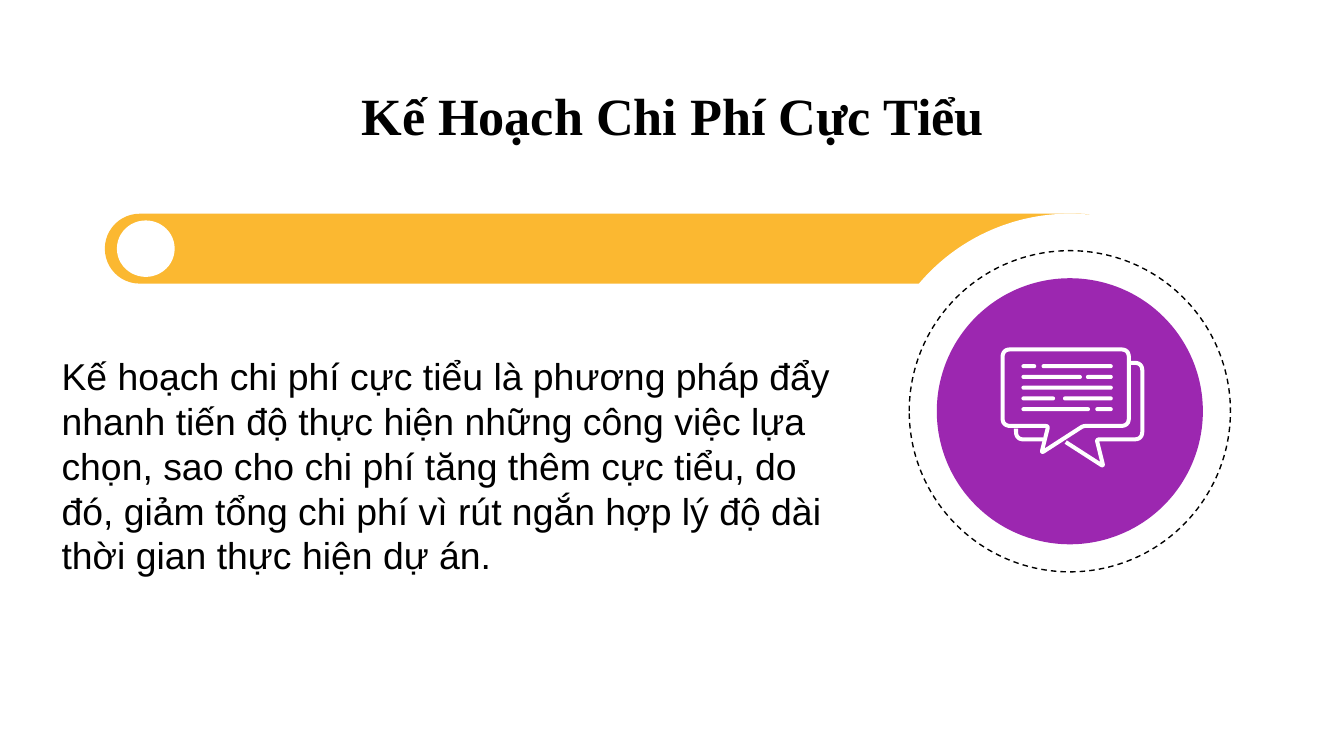
from typing import NamedTuple

from pptx import Presentation
from pptx.dml.color import RGBColor
from pptx.enum.dml import MSO_LINE
from pptx.enum.shapes import MSO_SHAPE
from pptx.enum.text import MSO_ANCHOR, MSO_AUTO_SIZE, PP_ALIGN
from pptx.util import Inches, Pt

WHITE, BLACK, AMBER, PURPLE = "FFFFFF", "000000", "FBB831", "9C27B0"
STROKE = 0.03
CORNER = 0.06
TIP = 0.02


class Box(NamedTuple):
    left: float
    top: float
    width: float
    height: float


class Vertex(NamedTuple):
    x: float
    y: float
    radius: float = 0


class Disc(NamedTuple):
    diameter: float
    fill: str | None
    line: str | None


DISC_CENTER = (7.96, 3.06)
DISCS = [Disc(2.94, WHITE, None), Disc(2.39, None, BLACK), Disc(1.98, PURPLE, None)]

# Left and right ends of the dashes in each row of the message icon
MESSAGE_TOP, MESSAGE_PITCH = 2.71, 0.08
MESSAGE_ROWS = [
    [(7.6, 7.71), (7.75, 8.28)],
    [(7.6, 8.05), (8.08, 8.28)],
    [(7.6, 8.28)],
    [(7.6, 7.85), (7.91, 8.28)],
    [(7.6, 8.11), (8.15, 8.28)],
]

FRONT_BUBBLE = [
    Vertex(7.8, 2.6), Vertex(8.4, 2.6, CORNER), Vertex(8.4, 3.17, CORNER),
    Vertex(8.06, 3.17, TIP), Vertex(7.75, 3.37, TIP), Vertex(7.8, 3.17, TIP),
    Vertex(7.46, 3.17, CORNER), Vertex(7.46, 2.6, CORNER),
]
BACK_BUBBLE = [
    Vertex(8.41, 2.7), Vertex(8.5, 2.7, CORNER), Vertex(8.5, 3.27, CORNER),
    Vertex(8.16, 3.27, TIP), Vertex(8.21, 3.47, TIP), Vertex(7.93, 3.29),
]
BACK_CORNER = [Vertex(7.56, 3.19), Vertex(7.56, 3.27, CORNER), Vertex(7.76, 3.27)]


def rgb(color: str) -> RGBColor:
    return RGBColor.from_string(color)


def paint(sp, fill: str | None = None, line: str | None = None, width: float = 0.75):
    sp.shadow.inherit = False
    if fill:
        sp.fill.solid()
        sp.fill.fore_color.rgb = rgb(fill)
    else:
        sp.fill.background()
    if line:
        sp.line.color.rgb = rgb(line)
        sp.line.width = Pt(width)
    else:
        sp.line.fill.background()


def add_preset(s, kind: MSO_SHAPE, box: Box, fill: str | None = None,
               line: str | None = None):
    sp = s.shapes.add_shape(kind, *map(Inches, box))
    if kind == MSO_SHAPE.ROUNDED_RECTANGLE:
        sp.adjustments[0] = 0.5
    paint(sp, fill, line)
    return sp


def rounded(vertices: list[Vertex], steps: int = 6) -> list[tuple[int, int]]:
    """Return path points with each vertex replaced by a curve of its radius."""
    points = []
    for i, v in enumerate(vertices):
        if not v.radius:
            points.append((Inches(v.x), Inches(v.y)))
            continue
        ends = []
        for n in (vertices[i - 1], vertices[(i + 1) % len(vertices)]):
            t = v.radius / ((n.x - v.x) ** 2 + (n.y - v.y) ** 2) ** 0.5
            ends.append((v.x + (n.x - v.x) * t, v.y + (n.y - v.y) * t))
        (ax, ay), (bx, by) = ends
        for k in range(steps + 1):
            t = k / steps
            a, c, b = (1 - t) ** 2, 2 * t * (1 - t), t ** 2
            points.append((Inches(a * ax + c * v.x + b * bx),
                           Inches(a * ay + c * v.y + b * by)))
    return points


def add_outline(s, vertices: list[Vertex], close: bool = False):
    start, *rest = rounded(vertices)
    builder = s.shapes.build_freeform(*start)
    builder.add_line_segments(rest, close=close)
    paint(builder.convert_to_shape(), line=WHITE, width=STROKE * 72)


def write(sp, text: str, *, font: str, size: float, bold: bool = False,
          align: PP_ALIGN = PP_ALIGN.LEFT, anchor: MSO_ANCHOR = MSO_ANCHOR.TOP,
          inset: float = 0.05, fit: MSO_AUTO_SIZE = MSO_AUTO_SIZE.NONE):
    tf = sp.text_frame
    tf.word_wrap = True
    tf.auto_size = fit
    tf.vertical_anchor = anchor
    tf.margin_left = tf.margin_right = Inches(0.1)
    tf.margin_top = tf.margin_bottom = Inches(inset)
    p = tf.paragraphs[0]
    p.alignment = align
    r = p.add_run()
    r.text = text
    r.font.name, r.font.size, r.font.bold = font, Pt(size), bold
    r.font.color.rgb = rgb(BLACK)


def add_title(s, text: str, box: Box):
    sp = s.shapes.title
    sp.left, sp.top, sp.width, sp.height = map(Inches, box)
    write(sp, text, font="Times New Roman", size=28, bold=True,
          align=PP_ALIGN.CENTER, anchor=MSO_ANCHOR.MIDDLE, inset=0.1)


def add_message_icon(s):
    for row, dashes in enumerate(MESSAGE_ROWS):
        for left, right in dashes:
            box = Box(left, MESSAGE_TOP + row * MESSAGE_PITCH, right - left, STROKE)
            add_preset(s, MSO_SHAPE.ROUNDED_RECTANGLE, box, WHITE)
    add_outline(s, FRONT_BUBBLE, close=True)
    add_outline(s, BACK_BUBBLE)
    add_outline(s, BACK_CORNER)


def main():
    prs = Presentation()
    prs.slide_width = Inches(10)
    prs.slide_height = Inches(10 * 9 / 16)
    s = prs.slides.add_slide(prs.slide_layouts[5])

    add_title(s, "Kế Hoạch Chi Phí Cực Tiểu", Box(0.78, 0.59, 8.45, 0.53))
    add_preset(s, MSO_SHAPE.ROUNDED_RECTANGLE, Box(0.78, 1.59, 7.52, 0.52), AMBER)
    add_preset(s, MSO_SHAPE.OVAL, Box(0.87, 1.64, 0.43, 0.42), WHITE)

    cx, cy = DISC_CENTER
    for d in DISCS:
        box = Box(cx - d.diameter / 2, cy - d.diameter / 2, d.diameter, d.diameter)
        sp = add_preset(s, MSO_SHAPE.OVAL, box, d.fill, d.line)
        if d.line:
            sp.line.dash_style = MSO_LINE.DASH

    body = s.shapes.add_textbox(*map(Inches, Box(0.36, 2.58, 5.97, 1.78)))
    write(body, "Kế hoạch chi phí cực tiểu là phương pháp đẩy nhanh tiến độ thực "
          "hiện những công việc lựa chọn, sao cho chi phí tăng thêm cực tiểu, do "
          "đó, giảm tổng chi phí vì rút ngắn hợp lý độ dài thời gian thực hiện "
          "dự án.", font="Arial", size=20, fit=MSO_AUTO_SIZE.SHAPE_TO_FIT_TEXT)
    add_message_icon(s)

    prs.save("out.pptx")


if __name__ == "__main__":
    main()
